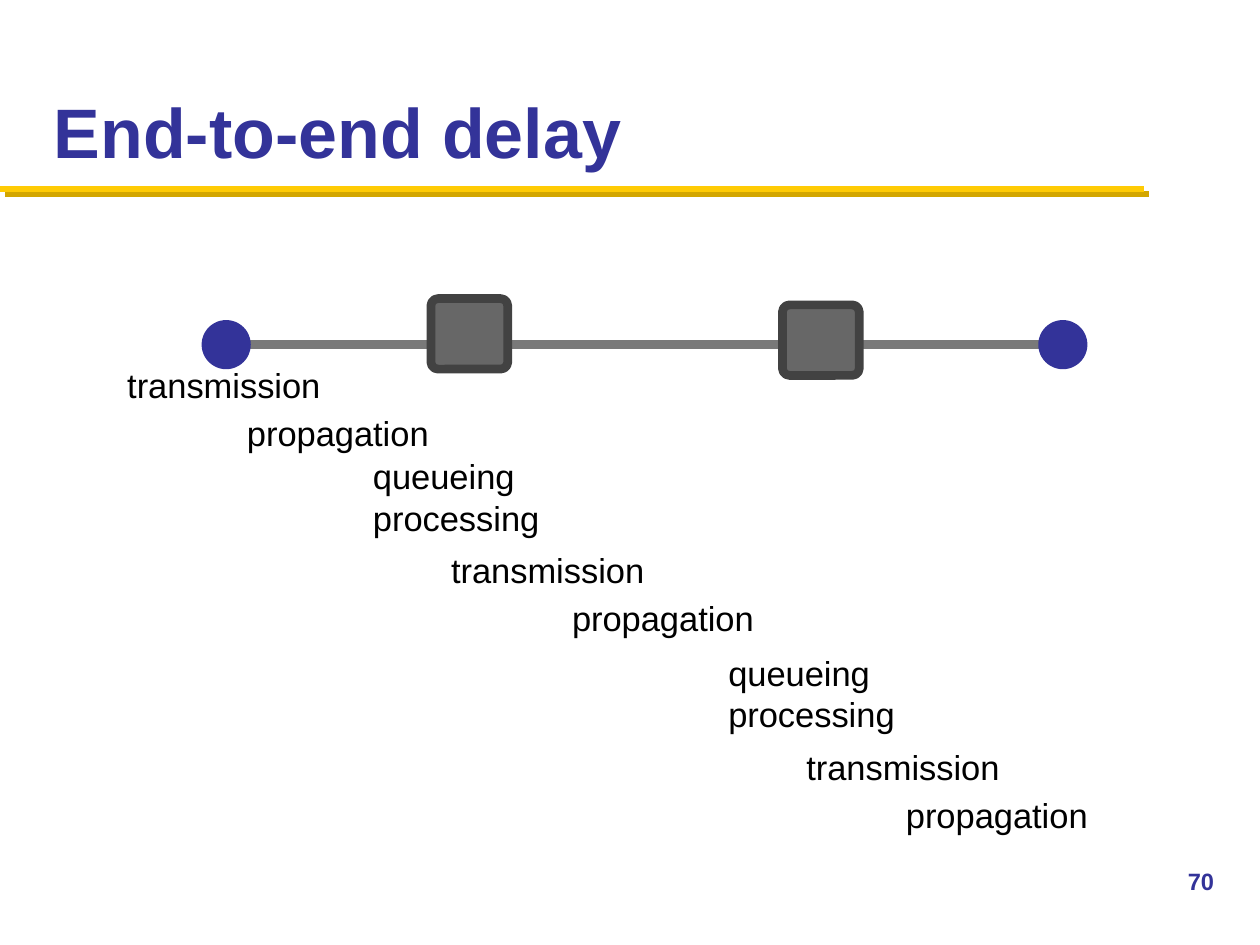
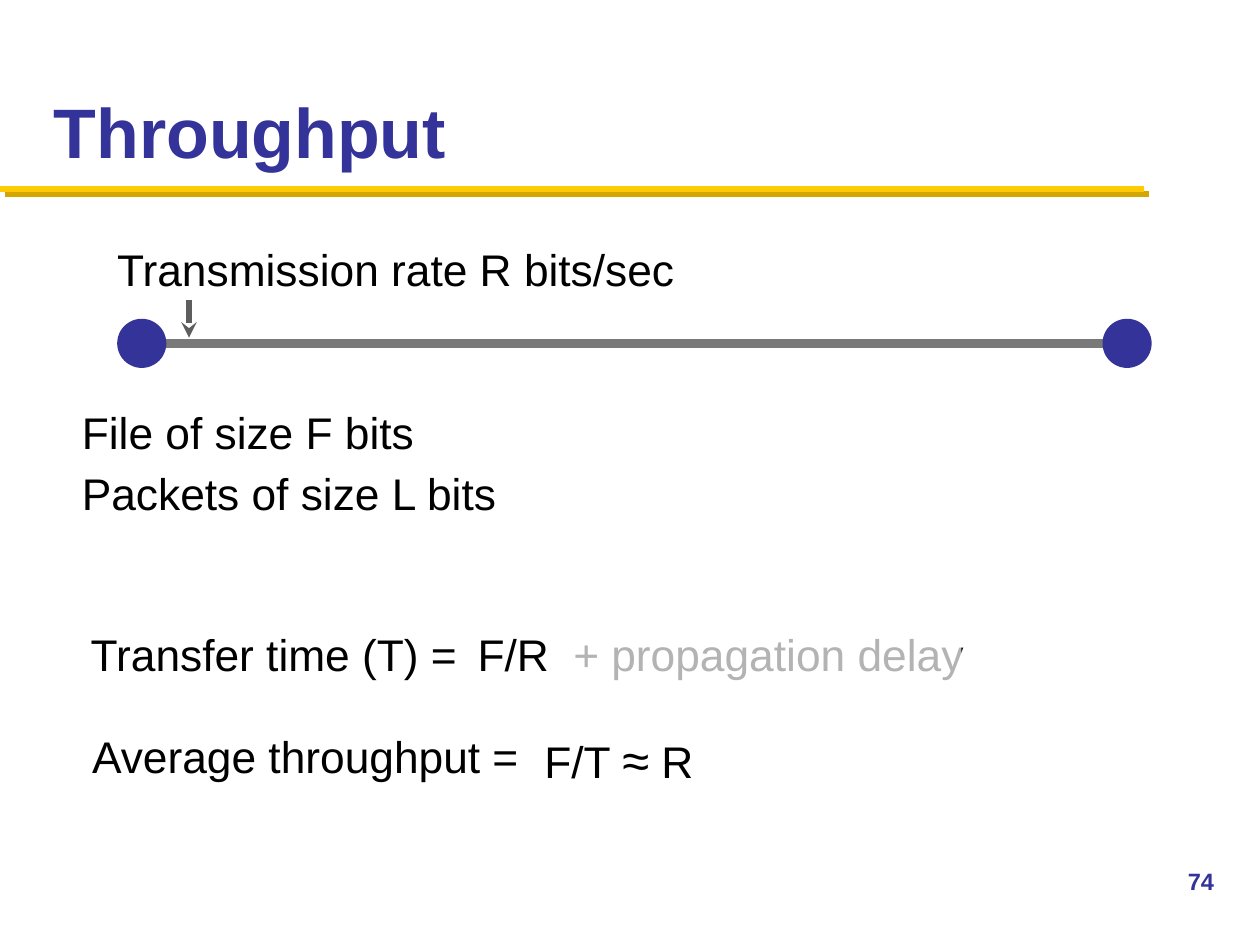
from dataclasses import dataclass

from lxml.etree import SubElement
from pptx import Presentation
from pptx.dml.color import RGBColor
from pptx.enum.shapes import MSO_CONNECTOR, MSO_SHAPE
from pptx.enum.text import MSO_ANCHOR
from pptx.oxml.ns import qn
from pptx.util import Inches, Pt

COLUMNS, ROWS = 100, 75
SLIDE_WIDTH, SLIDE_HEIGHT = Inches(10), Inches(7.5)


@dataclass(frozen=True)
class Theme:
    font: str = "Arial"
    accent: str = "333399"
    text: str = "000000"
    paper: str = "FFFFFF"
    band: str = "FFCB05"
    band_shadow: str = "D3A600"
    link: str = "797979"
    router: str = "676767"
    router_edge: str = "424242"
    arrow: str = "5E5E5E"
    title_size: float = 40
    body_size: float = 25.3
    symbol_size: float = 28
    label_size: float = 19.7
    number_size: float = 13.5
    heavy_line: float = 5
    band_line: float = 3.5
    arrow_line: float = 3


THEME = Theme()


@dataclass(frozen=True)
class Box:
    """An area in grid columns and rows."""
    left: float
    top: float
    width: float
    height: float

    def inner(self, left, top, width, height):
        return Box(self.left + left, self.top + top, width, height)

    def lengths(self):
        return (across(self.left), down(self.top),
                across(self.width), down(self.height))


def across(columns):
    return round(SLIDE_WIDTH * columns / COLUMNS)


def down(rows):
    return round(SLIDE_HEIGHT * rows / ROWS)


def color(value):
    return RGBColor.from_string(value)


def add_text(slide, text, box, size=THEME.body_size, fill=THEME.text,
             bold=False, anchor=MSO_ANCHOR.MIDDLE, margins=(0.04, 0.04)):
    """Write text, given as a string or as (string, size) runs."""
    frame = slide.shapes.add_textbox(*box.lengths()).text_frame
    frame.word_wrap = True
    frame.vertical_anchor = anchor
    frame.margin_left = frame.margin_right = Inches(margins[0])
    frame.margin_top = frame.margin_bottom = Inches(margins[1])
    runs = [(text, size)] if isinstance(text, str) else text
    for content, run_size in runs:
        run = frame.paragraphs[0].add_run()
        run.text = content
        run.font.name = THEME.font
        run.font.size = Pt(run_size)
        run.font.bold = bold
        run.font.color.rgb = color(fill)


def add_line(slide, start, end, line_color, width):
    """Draw a line and return it with its empty effect list."""
    connector = slide.shapes.add_connector(
        MSO_CONNECTOR.STRAIGHT, across(start[0]), down(start[1]),
        across(end[0]), down(end[1]))
    connector.line.color.rgb = color(line_color)
    connector.line.width = Pt(width)
    effects = SubElement(connector.line._get_or_add_ln().getparent(),
                         qn("a:effectLst"))
    return connector, effects


def add_solid(slide, kind, box, fill):
    shape = slide.shapes.add_shape(kind, *box.lengths())
    shape.shadow.inherit = False
    shape.fill.solid()
    shape.fill.fore_color.rgb = color(fill)
    shape.line.fill.background()
    return shape


def add_header(slide, box, title):
    add_text(slide, title, box.inner(3.3, 1.7, 93.3, 12.5),
             size=THEME.title_size, fill=THEME.accent, bold=True,
             anchor=MSO_ANCHOR.BOTTOM, margins=(0.1, 0.05))
    bottom = box.top + box.height
    _, effects = add_line(slide, (box.left, bottom), (box.left + 90.8, bottom),
                          THEME.band, THEME.band_line)
    shadow = SubElement(effects, qn("a:outerShdw"), dist=str(Pt(4.2)),
                        dir="2700000", algn="ctr", rotWithShape="0")
    SubElement(shadow, qn("a:srgbClr"), val=THEME.band_shadow)


def add_page_number(slide, box, number):
    add_text(slide, str(number), box, size=THEME.number_size,
             fill=THEME.accent, bold=True, anchor=MSO_ANCHOR.TOP,
             margins=(0.1, 0.05))


def add_network(slide, box, routers=()):
    """Link two hosts at the ends of the box, past routers at given offsets."""
    host = box.height
    middle = box.top + host / 2
    add_line(slide, (box.left + host / 2, middle),
             (box.left + box.width - host / 2, middle),
             THEME.link, THEME.heavy_line)
    for left in (0, box.width - host):
        add_solid(slide, MSO_SHAPE.OVAL, box.inner(left, 0, host, host),
                  THEME.accent)
    for left, top in routers:
        router = add_solid(slide, MSO_SHAPE.ROUNDED_RECTANGLE,
                           box.inner(left, top, 6.1, 5.6), THEME.router)
        router.adjustments[0] = 0.1
        router.line.color.rgb = color(THEME.router_edge)
        router.line.width = Pt(THEME.heavy_line)


def add_delay_steps(slide, box):
    """Step the delay labels down and right, hop by hop."""
    def label(text, left, top):
        add_text(slide, text, box.inner(left, top, 16.7, 4.1),
                 size=THEME.label_size)

    def link_delays(left, top, shift):
        label("transmission", left, top)
        label("propagation", left + shift, top + 3.8)

    link_delays(0, 0, 9.5)
    for left, top, shift in ((19.5, 7.2, 9.6), (47.7, 22.8, 7.9)):
        label("queueing", left, top)
        label("processing", left, top + 3.3)
        link_delays(left + 6.2, top + 7.5, shift)


def add_rate(slide, box):
    add_text(slide, "Transmission rate R bits/sec", box)
    x, y = box.left + 6.1, box.top + box.height
    arrow, _ = add_line(slide, (x, y), (x, y + 3), THEME.arrow, THEME.arrow_line)
    SubElement(arrow.line._get_or_add_ln(), qn("a:tailEnd"), type="stealth")


def add_sizes(slide, box):
    for row, text in enumerate(("File of size F bits", "Packets of size L bits")):
        add_text(slide, text, box.inner(0, row * 4.8, box.width, 5))


def add_results(slide, box):
    add_text(slide, "F/R", box.inner(30.7, 0, 7, 5))
    add_text(slide, "+ propagation delay", box.inner(38.3, 0, 36, 5))
    veil = add_solid(slide, MSO_SHAPE.RECTANGLE,
                     box.inner(36.9, -2.3, 32.6, 9.8), THEME.paper)
    SubElement(veil.fill._xPr.find(".//" + qn("a:srgbClr")), qn("a:alpha"),
               val="70000")
    add_text(slide, "Transfer time (T) =", box.inner(0, 0, 30.5, 5))
    add_text(slide, "Average throughput =", box.inner(0.1, 8.1, 35.5, 5))
    add_text(slide, [("F/T ", THEME.body_size), ("≈", THEME.symbol_size),
                     (" R", THEME.body_size)], box.inner(36, 8.1, 20.1, 5.5))


def add_slide(presentation, title, number):
    slide = presentation.slides.add_slide(presentation.slide_layouts[6])
    slide.background.fill.solid()
    slide.background.fill.fore_color.rgb = color(THEME.paper)
    add_header(slide, Box(0, 0, COLUMNS, 15), title)
    add_page_number(slide, Box(93.3, 68.3, 6.7, 5), number)
    return slide


def add_delay_slide(presentation):
    slide = add_slide(presentation, "End-to-end delay", 70)
    add_network(slide, Box(16, 25.4, 70.3, 3.9),
                routers=((18.2, -1.7), (46.1, -1.2)))
    add_delay_steps(slide, Box(9.7, 28.5, 78.5, 38.2))


def add_throughput_slide(presentation):
    slide = add_slide(presentation, "Throughput", 74)
    add_network(slide, Box(9.3, 25.3, 82.1, 3.9))
    add_rate(slide, Box(8.9, 18.8, 54.4, 5))
    add_sizes(slide, Box(6.1, 31.8, 37.3, 9.8))
    add_results(slide, Box(6.8, 49.4, 75.5, 13.6))


def main():
    presentation = Presentation()
    presentation.slide_width = SLIDE_WIDTH
    presentation.slide_height = SLIDE_HEIGHT
    add_delay_slide(presentation)
    add_throughput_slide(presentation)
    presentation.save("out.pptx")


if __name__ == "__main__":
    main()
